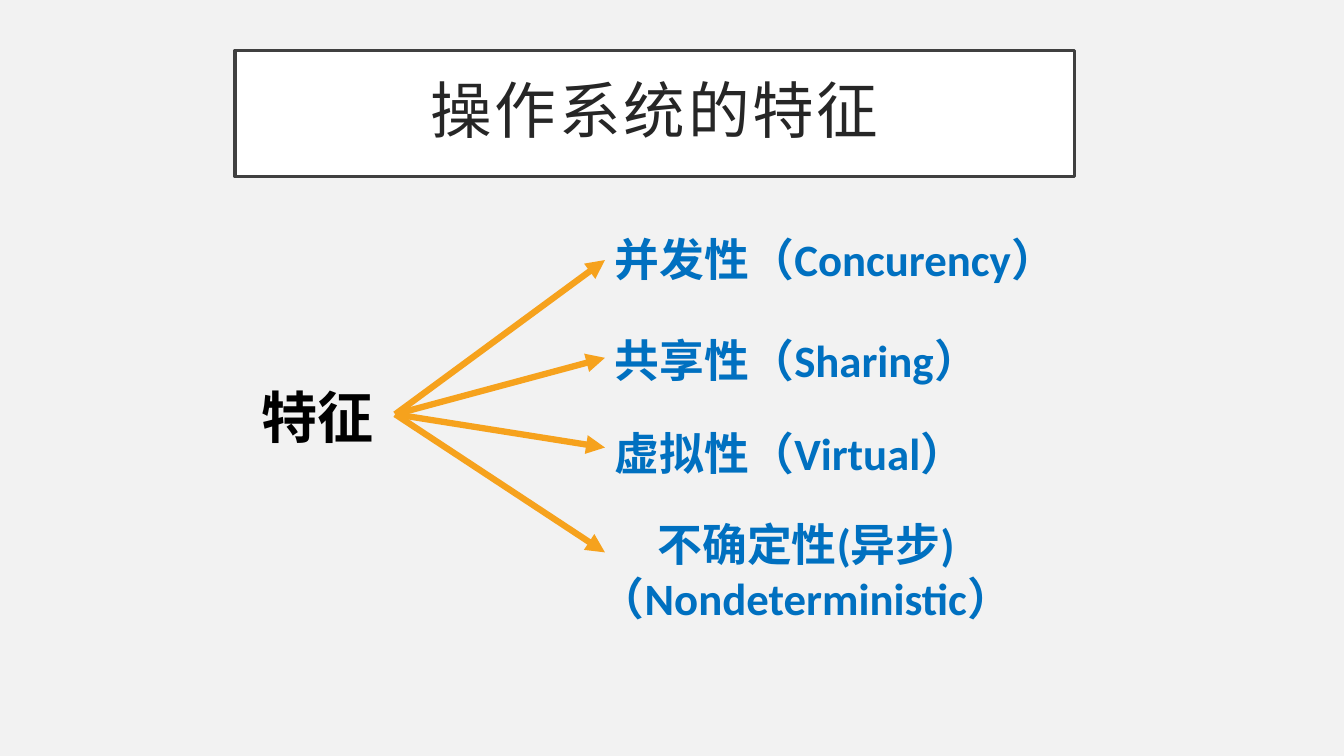
"""Builds a slide that fans out the four features of an operating system."""
from lxml import etree
from pptx import Presentation, util as u
from pptx.dml.color import RGBColor
from pptx.enum import shapes, text
from pptx.oxml.ns import qn

TITLE = "操作系统的特征"
ROOT = {"text": "特征", "box": (2.5, 3.75, 1.42, 0.77)}
FEATURES = [
    {"text": "并发性（Concurency）", "box": (6, 2.25, 5, 0.63), "arrow_y": 2.58},
    {"text": "共享性（Sharing）", "box": (6, 3.25, 4.67, 0.63), "arrow_y": 3.55},
    {"text": "虚拟性（Virtual）", "box": (6, 4.17, 4.67, 0.63), "arrow_y": 4.44},
    {"text": "不确定性(异步)（Nondeterministic）", "box": (5.33, 5.08, 5.33, 1.17),
     "arrow_y": 5.48, "align": text.PP_ALIGN.CENTER},
]
TITLE_BOX = (2.33, 0.5, 8.33, 1.25)
ARROW_START = (3.92, 4.11)
ARROW_END_X = 6
COLORS = {"background": "F2F2F2", "panel": "FFFFFF", "border": "404040",
          "title": "262626", "root": "000000", "feature": "0070C0", "arrow": "F6A21D"}
LATIN, CHINESE = "Calibri", "Noto Sans CJK SC"


def color(name):
    return RGBColor.from_string(COLORS[name])


def place(shape, box):
    shape.left, shape.top, shape.width, shape.height = map(u.Inches, box)


def write(shape, words, size, ink, font=LATIN, bold=False, align=text.PP_ALIGN.LEFT):
    frame = shape.text_frame
    frame.text = words
    frame.word_wrap = True
    paragraph = frame.paragraphs[0]
    paragraph.alignment = align
    run = paragraph.runs[0]
    run.font.size = u.Pt(size)
    run.font.name = font
    run.font.bold = bold
    run.font.color.rgb = color(ink)
    properties = run.font._element
    etree.SubElement(properties, qn("a:ea")).set("typeface", CHINESE)
    return paragraph, properties


def add_title(slide):
    shape = slide.shapes.title
    place(shape, TITLE_BOX)
    shape.fill.solid()
    shape.fill.fore_color.rgb = color("panel")
    shape.line.color.rgb = color("border")
    shape.line.width = u.Pt(2.5)
    paragraph, properties = write(shape, TITLE, 44, "title", CHINESE,
                                  align=text.PP_ALIGN.CENTER)
    paragraph.line_spacing = 0.9
    properties.set("spc", "200")
    frame = shape.text_frame
    frame.auto_size = text.MSO_AUTO_SIZE.NONE
    frame.vertical_anchor = text.MSO_ANCHOR.MIDDLE
    frame.margin_left = frame.margin_right = u.Inches(0.2)
    frame.margin_top = frame.margin_bottom = u.Inches(0.2)


def add_label(slide, label, size, ink):
    shape = slide.shapes.add_textbox(*map(u.Inches, label["box"]))
    write(shape, label["text"], size, ink, bold=True,
          align=label.get("align", text.PP_ALIGN.LEFT))
    shape.text_frame.auto_size = text.MSO_AUTO_SIZE.SHAPE_TO_FIT_TEXT


def add_arrow(slide, end_y):
    ends = map(u.Inches, (*ARROW_START, ARROW_END_X, end_y))
    arrow = slide.shapes.add_connector(shapes.MSO_CONNECTOR.STRAIGHT, *ends)
    arrow.line.color.rgb = color("arrow")
    arrow.line.width = u.Pt(4.5)
    properties = arrow._element.spPr
    line = properties.find(qn("a:ln"))
    etree.SubElement(line, qn("a:tailEnd")).set("type", "triangle")
    etree.SubElement(properties, qn("a:effectLst"))


def main():
    presentation = Presentation()
    presentation.slide_width = u.Inches(13.33)
    presentation.slide_height = u.Inches(7.5)
    slide = presentation.slides.add_slide(presentation.slide_layouts[5])
    slide.background.fill.solid()
    slide.background.fill.fore_color.rgb = color("background")
    add_title(slide)
    add_label(slide, ROOT, 40, "root")
    for feature in FEATURES:
        add_arrow(slide, feature["arrow_y"])
    for feature in FEATURES:
        add_label(slide, feature, 32, "feature")
    presentation.save("out.pptx")


if __name__ == "__main__":
    main()
